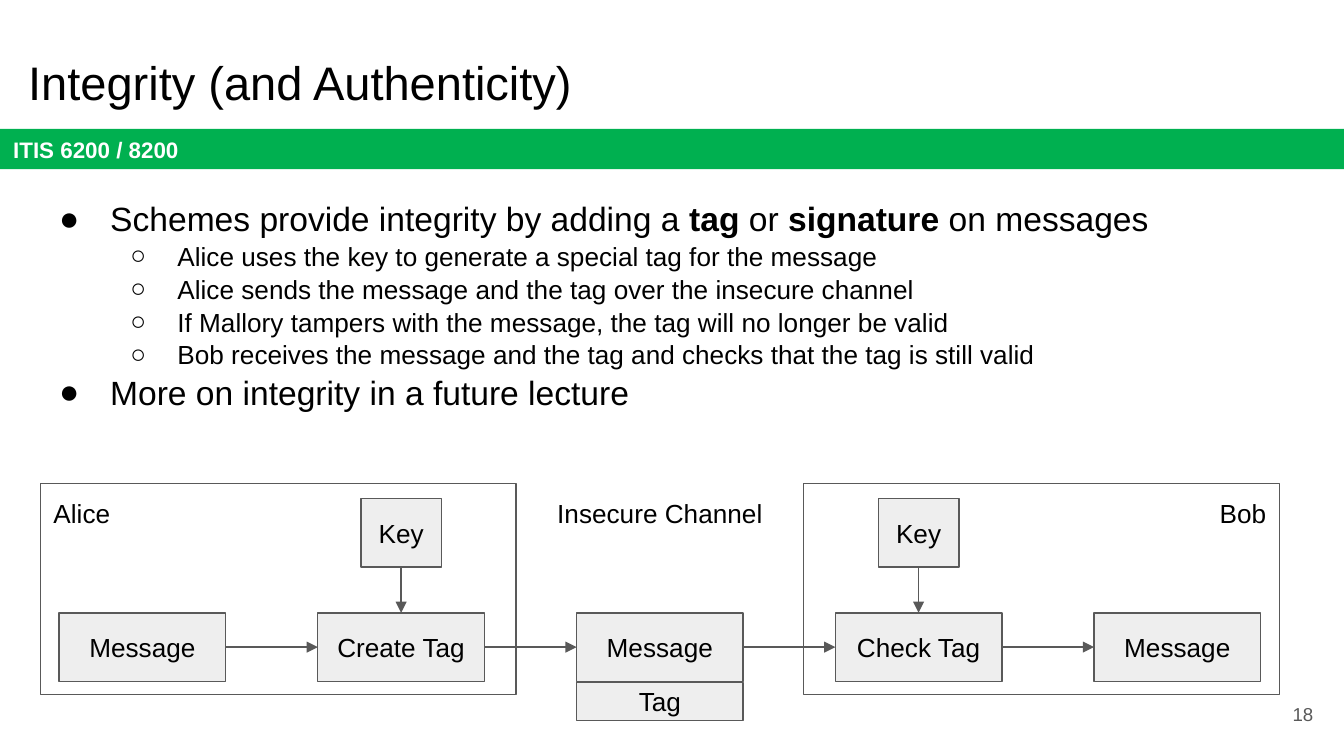
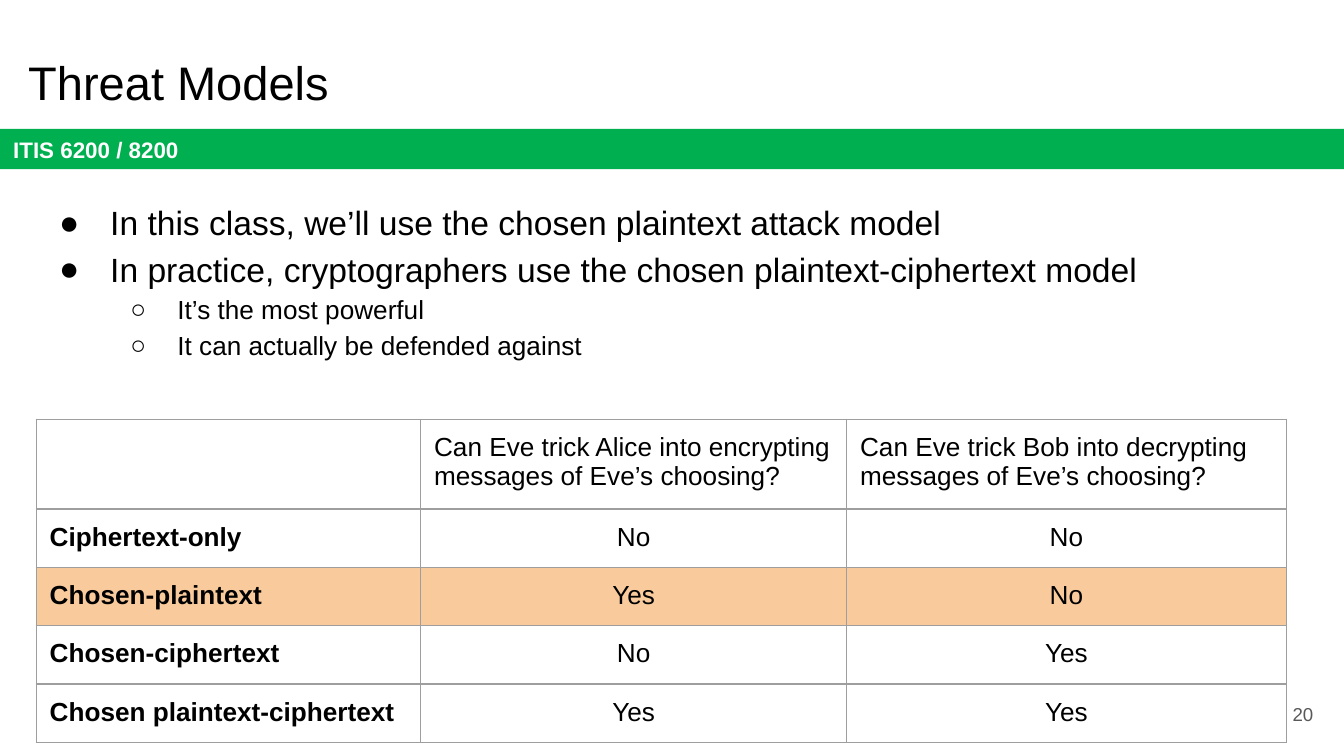
"""Build two lecture slides on message integrity and threat models."""
import lxml.etree
import pptx
import pptx.dml.color
import pptx.enum.shapes
import pptx.enum.text
import pptx.oxml.ns
import pptx.util

Inches, Pt = pptx.util.Inches, pptx.util.Pt
RGB = pptx.dml.color.RGBColor.from_string
ALIGN, ANCHOR = pptx.enum.text.PP_ALIGN, pptx.enum.text.MSO_ANCHOR
RECT = pptx.enum.shapes.MSO_SHAPE.RECTANGLE
STRAIGHT = pptx.enum.shapes.MSO_CONNECTOR.STRAIGHT
SubElement, qn = lxml.etree.SubElement, pptx.oxml.ns.qn

COLORS = {"band": "00B050", "white": "FFFFFF", "text": "000000", "line": "595959",
          "box": "EEEEEE", "border": "9E9E9E", "highlight": "F9CB9C"}
FRAME = {"margin_left": Inches(0.1), "margin_right": Inches(0.1),
         "margin_top": Inches(0.1), "margin_bottom": Inches(0.1)}
LEVELS = [{"marL": 0.5, "indent": -0.38, "char": "●", "size": 18},
          {"marL": 1, "indent": -0.35, "char": "○", "size": 14}]


def write(holder, lines, size=14, color="text", align=ALIGN.LEFT, anchor=ANCHOR.TOP, bold=False):
    frame = holder if hasattr(holder, "margin_left") else holder.text_frame
    for name, value in {**FRAME, "vertical_anchor": anchor}.items():
        setattr(frame, name, value)
    tf = holder.text_frame
    for i, line in enumerate(lines):
        p = tf.paragraphs[0] if i == 0 else tf.add_paragraph()
        p.alignment = align
        for j, part in enumerate(line.split("*")):
            if part:
                r = p.add_run()
                r.text = part
                fmt = {"name": "Arial", "size": Pt(size), "bold": bold or j % 2 == 1}
                for name, value in fmt.items():
                    setattr(r.font, name, value)
                r.font.color.rgb = RGB(COLORS[color])


def box(s, at, text="", fill=None, line=None, **fmt):
    at = [Inches(v) for v in at]
    if fill or line:
        sp = s.shapes.add_shape(RECT, *at)
        sp.shadow.inherit = False
        if fill:
            sp.fill.solid()
            sp.fill.fore_color.rgb = RGB(COLORS[fill])
        else:
            sp.fill.background()
        if line:
            sp.line.color.rgb = RGB(COLORS[line])
            sp.line.width = Pt(0.75)
        else:
            sp.line.fill.background()
    else:
        sp = s.shapes.add_textbox(*at)
    sp.text_frame.word_wrap = True
    if text:
        write(sp, [text], **fmt)
    return sp


prs = pptx.Presentation()
prs.slide_width = Inches(10)
prs.slide_height = prs.slide_width * 9 // 16

pages = [
    ("Integrity (and Authenticity)", "18", 1.05, [
        (0, "Schemes provide integrity by adding a *tag* or *signature* on messages"),
        (1, "Alice uses the key to generate a special tag for the message"),
        (1, "Alice sends the message and the tag over the insecure channel"),
        (1, "If Mallory tampers with the message, the tag will no longer be valid"),
        (1, "Bob receives the message and the tag and checks that the tag is still valid"),
        (0, "More on integrity in a future lecture")]),
    ("Threat Models", "20", 1.15, [
        (0, "In this class, we’ll use the chosen plaintext attack model"),
        (0, "In practice, cryptographers use the chosen plaintext-ciphertext model"),
        (1, "It’s the most powerful"),
        (1, "It can actually be defended against")]),
]
slides = []
for title, number, spacing, items in pages:
    s = prs.slides.add_slide(prs.slide_layouts[1])
    slides.append(s)
    body = s.placeholders[1]
    for sp, left, top, height in [(s.shapes.title, 0.11, 0.3, 0.63), (body, 0.22, 1.36, 1.83)]:
        place = {"left": left, "top": top, "width": 9.32, "height": height}
        for name, value in place.items():
            setattr(sp, name, Inches(value))
        sp.text_frame.auto_size = pptx.enum.text.MSO_AUTO_SIZE.NONE
    write(s.shapes.title, [title], size=25.2)
    write(body, [text for level, text in items])
    for p, (level, text) in zip(body.text_frame.paragraphs, items):
        style = LEVELS[level]
        for name, value in {"level": level, "line_spacing": spacing, "space_before": Pt(0)}.items():
            setattr(p, name, value)
        pPr = p._p.get_or_add_pPr()
        for name in ("marL", "indent"):
            pPr.set(name, str(Inches(style[name])))
        SubElement(SubElement(pPr, qn("a:buClr")), qn("a:srgbClr"), val=COLORS["text"])
        SubElement(pPr, qn("a:buFont"), typeface="Arial")
        SubElement(pPr, qn("a:buChar"), char=style["char"])
        for r in p.runs:
            r.font.size = Pt(style["size"])
    box(s, (0, 0.96, 10, 0.3), "ITIS 6200 / 8200", fill="band",
        size=12, color="white", bold=True, anchor=ANCHOR.MIDDLE)
    box(s, (9.27, 5.1, 0.6, 0.43), number, size=10, color="line",
        align=ALIGN.RIGHT, anchor=ANCHOR.MIDDLE)

s = slides[0]
for left in (0.3, 5.98):
    box(s, (left, 3.6, 3.54, 1.57), line="line")
for text, left, width, align in [("Alice", 0.3, 0.84, ALIGN.LEFT),
                                 ("Insecure Channel", 3.84, 2.14, ALIGN.CENTER),
                                 ("Bob", 8.68, 0.84, ALIGN.RIGHT)]:
    box(s, (left, 3.6, width, 0.44), text, align=align)

node = {"fill": "box", "line": "line", "align": ALIGN.CENTER, "anchor": ANCHOR.MIDDLE}
steps = ["Message", "Create Tag", "Message", "Check Tag", "Message"]
gap = (8.14 - 0.44) / (len(steps) - 1)
row, links = [], []
for i, text in enumerate(steps):
    left = 0.44 + i * gap
    row.append(box(s, (left, 4.56, 1.24, 0.51), text, **node))
    if i:
        links.append((row[i - 1], 3, row[i], 1))
    if text.endswith(" Tag"):
        key = box(s, (left + 0.32, 3.71, 0.6, 0.51), "Key", **node)
        links.append((key, 2, row[i], 0))
box(s, (0.44 + 2 * gap, 5.08, 1.24, 0.28), "Tag", **node)
for start, start_site, end, end_site in links:
    arrow = s.shapes.add_connector(STRAIGHT, 0, 0, 0, 0)
    arrow.begin_connect(start, start_site)
    arrow.end_connect(end, end_site)
    arrow.line.color.rgb = RGB(COLORS["line"])
    arrow.line.width = Pt(0.75)
    spPr = arrow._element.spPr
    SubElement(spPr.find(qn("a:ln")), qn("a:tailEnd"), type="triangle")
    SubElement(spPr, qn("a:effectLst"))

s = slides[1]
models = [
    ("", "Can Eve trick Alice into encrypting messages of Eve’s choosing?",
     "Can Eve trick Bob into decrypting messages of Eve’s choosing?"),
    ("Ciphertext-only", "No", "No"),
    ("Chosen-plaintext", "Yes", "No"),
    ("Chosen-ciphertext", "No", "Yes"),
    ("Chosen plaintext-ciphertext", "Yes", "Yes"),
]
widths = [2.86, 3.17, 3.27]
frame = s.shapes.add_table(len(models), len(widths), Inches(0.27), Inches(3.12),
                           Inches(9.3), Inches(2.4))
table = frame.table
for name in ("first_row", "horz_banding"):
    setattr(table, name, False)
for col, width in zip(table.columns, widths):
    col.width = Inches(width)
for i, model in enumerate(models):
    table.rows[i].height = Inches(0.42)
    for j, text in enumerate(model):
        cell = table.cell(i, j)
        write(cell, [text], bold=j == 0, align=ALIGN.CENTER if i and j else ALIGN.LEFT)
        tcPr = cell._tc.get_or_add_tcPr()
        for side in ("lnL", "lnR", "lnT", "lnB"):
            ln = SubElement(tcPr, qn("a:" + side), w=str(Pt(0.75)))
            SubElement(SubElement(ln, qn("a:solidFill")), qn("a:srgbClr"), val=COLORS["border"])
        if model[0] == "Chosen-plaintext":
            cell.fill.solid()
            cell.fill.fore_color.rgb = RGB(COLORS["highlight"])
        else:
            cell.fill.background()
frame.height = Inches(2.4)

prs.save("out.pptx")
